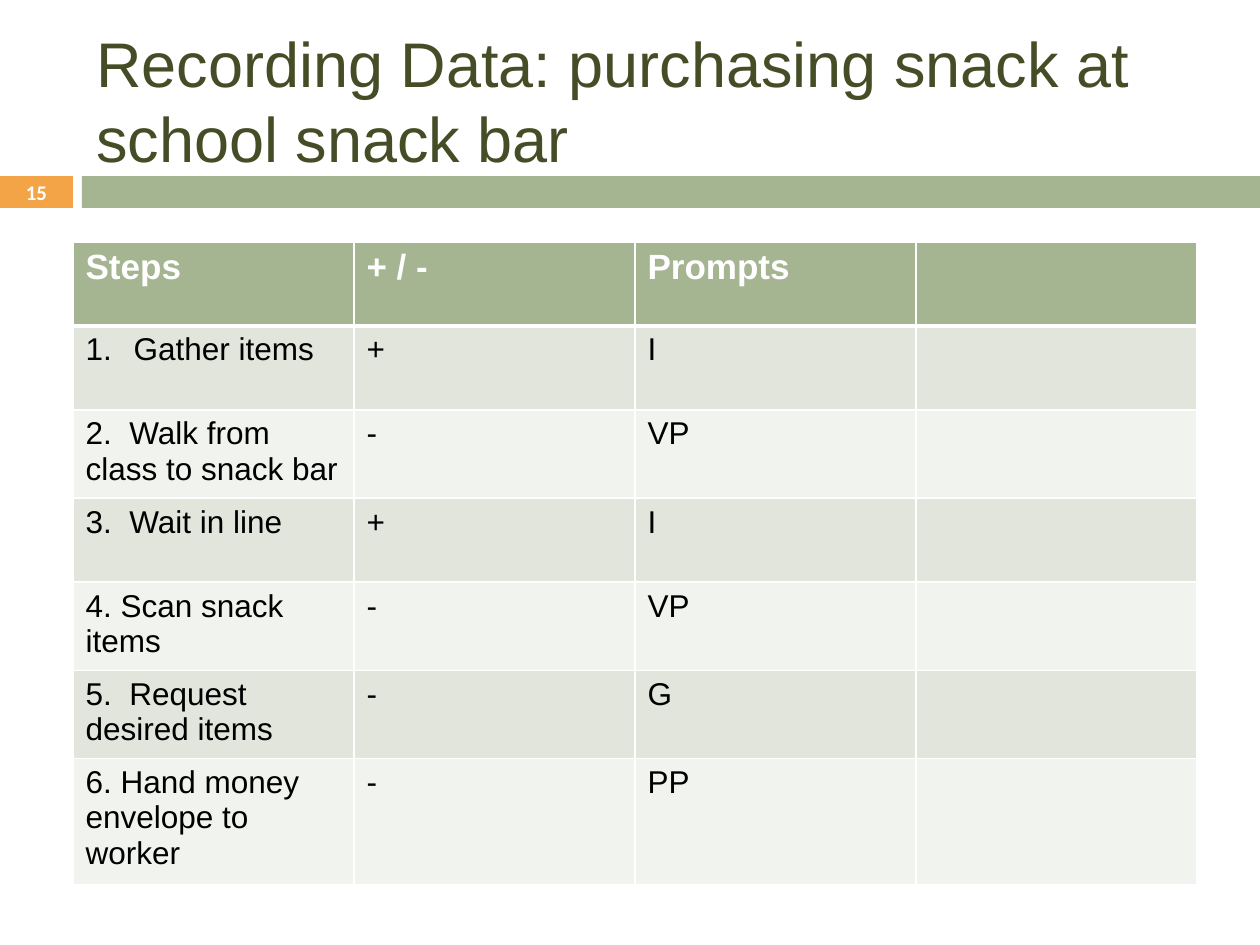
from lxml import etree
from pptx import Presentation, util as u
from pptx.dml.color import RGBColor
from pptx.enum import shapes, text
from pptx.oxml import ns

WHITE = RGBColor(0xFF, 0xFF, 0xFF)
BLACK = RGBColor(0, 0, 0)
ORANGE = RGBColor(0xF3, 0xA4, 0x47)
SAGE = RGBColor(0xA5, 0xB5, 0x92)
OLIVE = RGBColor(0x44, 0x4D, 0x26)
BANDS = [RGBColor(0xE1, 0xE5, 0xDC), RGBColor(0xF0, 0xF3, 0xEE)]

TITLE = "Recording Data: purchasing snack at school snack bar"
PAGE_NUMBER = "15"
HEADER = ["Steps", "+ / -", "Prompts", ""]
STEPS = [
    ("Gather items", "+", "I", ""),
    ("2.  Walk from class to snack bar", "-", "VP", ""),
    ("3.  Wait in line", "+", "I", ""),
    ("4. Scan snack items", "-", "VP", ""),
    ("5.  Request desired items", "-", "G", ""),
    ("6. Hand money envelope to worker", "-", "PP", ""),
]
BARS = [((0, 176, 73, 32), ORANGE), ((82, 176, 1178, 32), SAGE)]

TITLE_FONT = dict(name="Arial", size=u.Pt(36), bold=False)
NUMBER_FONT = dict(name="Calibri", size=u.Pt(11.9), bold=True)
HEADER_FONT = dict(name="Arial", size=u.Pt(20), bold=True)
STEP_FONT = dict(name="Arial", size=u.Pt(18), bold=False)

COLUMN_WIDTH, ROW_HEIGHT = 281, 84
TABLE_LEFT, TABLE_TOP = 73, 242


def px(value):
    return u.Emu(round(value * 914400 / 126))


def write(para, words, color, font):
    span = para.add_run()
    span.text = words
    for name, value in font.items():
        setattr(span.font, name, value)
    span.font.color.rgb = color


def add_text(page, place, words, color, font, align):
    frame = page.shapes.add_textbox(*map(px, place)).text_frame
    frame.word_wrap = True
    frame.vertical_anchor = text.MSO_ANCHOR.MIDDLE
    frame.paragraphs[0].alignment = align
    write(frame.paragraphs[0], words, color, font)


def add_borders(cell, bottom):
    """Draw white edges, 1 pt except for the given bottom width."""
    properties = cell._tc.get_or_add_tcPr()
    for index, (side, width) in enumerate(zip("LRTB", (1, 1, 1, bottom))):
        line = etree.Element(ns.qn(f"a:ln{side}"), w=str(u.Pt(width)))
        fill = etree.SubElement(line, ns.qn("a:solidFill"))
        etree.SubElement(fill, ns.qn("a:srgbClr"), val=str(WHITE))
        properties.insert(index, line)


def number_paragraph(para):
    properties = para._p.get_or_add_pPr()
    indent = px(48)
    properties.set("marL", str(indent))
    properties.set("indent", str(-indent))
    etree.SubElement(properties, ns.qn("a:buFont"), typeface="+mj-lt")
    etree.SubElement(properties, ns.qn("a:buAutoNum"), type="arabicPeriod")


def add_steps_table(page):
    rows = [HEADER, *STEPS]
    size = COLUMN_WIDTH * len(HEADER), ROW_HEIGHT * len(rows)
    table = page.shapes.add_table(
        len(rows), len(HEADER), *map(px, (TABLE_LEFT, TABLE_TOP, *size))).table
    for column in table.columns:
        column.width = px(COLUMN_WIDTH)
    for r, row in enumerate(rows):
        table.rows[r].height = px(ROW_HEIGHT)
        is_header = r == 0
        for c, words in enumerate(row):
            cell = table.cell(r, c)
            cell.fill.solid()
            cell.fill.fore_color.rgb = SAGE if is_header else BANDS[(r - 1) % 2]
            add_borders(cell, 3 if is_header else 1)
            if words:
                write(cell.text_frame.paragraphs[0], words,
                      WHITE if is_header else BLACK,
                      HEADER_FONT if is_header else STEP_FONT)
    number_paragraph(table.cell(1, 0).text_frame.paragraphs[0])


def main():
    deck = Presentation()
    deck.slide_width, deck.slide_height = px(1260), px(945)
    page = deck.slides.add_slide(deck.slide_layouts[6])
    for place, color in BARS:
        bar = page.shapes.add_shape(shapes.MSO_SHAPE.RECTANGLE, *map(px, place))
        bar.shadow.inherit = False
        bar.fill.solid()
        bar.fill.fore_color.rgb = color
        bar.line.fill.background()
    add_text(page, (84, 32, 1124, 136), TITLE, OLIVE, TITLE_FONT, text.PP_ALIGN.LEFT)
    add_text(page, (0, 175, 73, 34), PAGE_NUMBER, WHITE, NUMBER_FONT, text.PP_ALIGN.CENTER)
    add_steps_table(page)
    deck.save("out.pptx")


if __name__ == "__main__":
    main()
